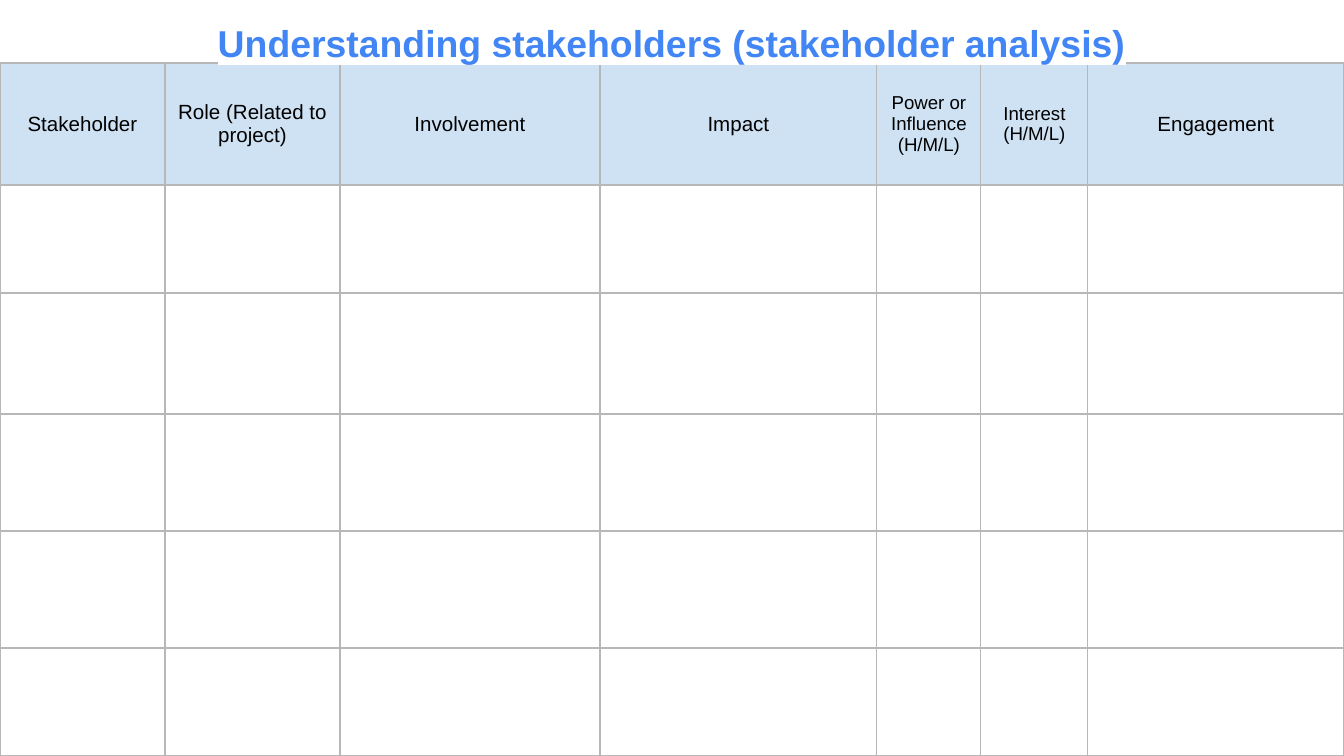
import pptx
import pptx.dml.color
import pptx.enum.text
import pptx.oxml
import pptx.oxml.ns
import pptx.util

PX = 914400 / 134.4
FONT = "Arial"
WHITE, BLACK, BLUE, PALE, GREY = "FFFFFF", "000000", "4285F4", "CFE2F3", "B7B7B7"
COLS = [165, 175, 260, 277, 104, 107, 256]
ROWS = [122, 108, 121, 117, 117, 108]
HEADERS = [
    ("Stakeholder", 11),
    ("Role (Related to project)", 11),
    ("Involvement", 11),
    ("Impact", 11),
    ("Power or Influence (H/M/L)", 10),
    ("Interest (H/M/L)", 10),
    ("Engagement", 11),
]


def px(n):
    return pptx.util.Emu(round(n * PX))


def rgb(value):
    return pptx.dml.color.RGBColor.from_string(value)


def xml(text):
    return pptx.oxml.parse_xml(text.replace(">", " " + pptx.oxml.ns.nsdecls("a") + ">", 1))


def write(tf, text, size=11, color=BLACK, bold=False, highlight=None, spacing=None):
    p = tf.paragraphs[0]
    p.alignment = pptx.enum.text.PP_ALIGN.CENTER
    p.line_spacing = spacing
    r = p.add_run()
    r.text = text
    r.font.size = pptx.util.Pt(size)
    r.font.bold = bold
    r.font.color.rgb = rgb(color)
    if highlight:
        fill = r.font._element.find(pptx.oxml.ns.qn("a:solidFill"))
        fill.addnext(xml(f'<a:highlight><a:srgbClr val="{highlight}"/></a:highlight>'))
    r.font.name = FONT


class Deck:
    def __init__(self, width, height):
        self.prs = pptx.Presentation()
        self.prs.slide_width, self.prs.slide_height = px(width), px(height)
        self.s = self.prs.slides.add_slide(self.prs.slide_layouts[5])
        self.s.background.fill.solid()
        self.s.background.fill.fore_color.rgb = rgb(WHITE)

    def title(self, text, x, y, w, h):
        sp = self.s.shapes.title
        sp.left, sp.top, sp.width, sp.height = px(x), px(y), px(w), px(h)
        tf = sp.text_frame
        tf.word_wrap = True
        tf.auto_size = pptx.enum.text.MSO_AUTO_SIZE.SHAPE_TO_FIT_TEXT
        tf.vertical_anchor = pptx.enum.text.MSO_ANCHOR.TOP
        tf.margin_left = tf.margin_right = tf.margin_top = tf.margin_bottom = pptx.util.Inches(0.1)
        write(tf, text, size=20, color=BLUE, bold=True, highlight=WHITE, spacing=1.15)
        self.s.shapes[-1]._element.addnext(sp._element)

    def border(self, cell):
        tcPr = cell._tc.get_or_add_tcPr()
        for side in ("lnL", "lnR", "lnT", "lnB"):
            tcPr.append(xml(
                f'<a:{side} w="{pptx.util.Pt(0.75)}"><a:solidFill>'
                f'<a:srgbClr val="{GREY}"/></a:solidFill></a:{side}>'
            ))

    def table(self, x, y, cols, rows, headers):
        table = self.s.shapes.add_table(
            len(rows), len(cols), px(x), px(y), px(sum(cols)), px(sum(rows))
        ).table
        table.first_row = table.horz_banding = False
        for column, w in zip(table.columns, cols):
            column.width = px(w)
        for row, h in zip(table.rows, rows):
            row.height = px(h)
        for cell in table.iter_cells():
            self.border(cell)
            cell.fill.background()
        for cell, (text, size) in zip(table.rows[0].cells, headers):
            cell.fill.solid()
            cell.fill.fore_color.rgb = rgb(PALE)
            cell.vertical_anchor = pptx.enum.text.MSO_ANCHOR.MIDDLE
            cell.margin_left = cell.margin_right = pptx.util.Inches(0.07)
            write(cell.text_frame, text, size=size)


def main():
    deck = Deck(1344, 756)
    deck.table(0, 63, COLS, ROWS, HEADERS)
    deck.title("Understanding stakeholders (stakeholder analysis)", 0, 0, 1344, 73)
    deck.prs.save("out.pptx")


if __name__ == "__main__":
    main()
